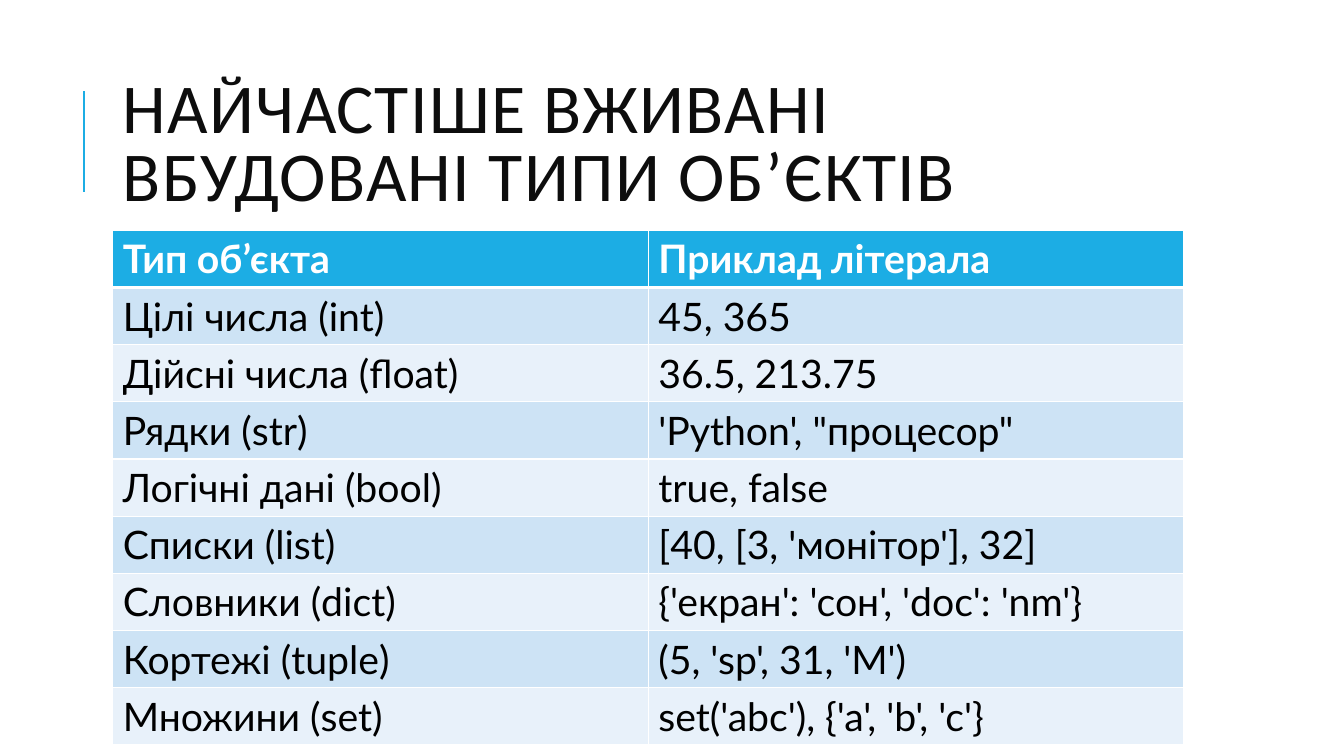
from dataclasses import dataclass

from lxml import etree
from pptx import Presentation
from pptx.dml.color import RGBColor
from pptx.enum.shapes import MSO_CONNECTOR
from pptx.enum.text import MSO_ANCHOR, PP_ALIGN
from pptx.oxml.ns import qn
from pptx.util import Cm, Pt

STRAIGHT = MSO_CONNECTOR.STRAIGHT
MIDDLE, TOP = MSO_ANCHOR.MIDDLE, MSO_ANCHOR.TOP
LEFT = PP_ALIGN.LEFT
TITLE_ONLY = 5


@dataclass(frozen=True)
class Theme:
    accent: str = "1CADE4"
    bands: tuple = ("CDE3F5", "E8F1FA")
    white: str = "FFFFFF"
    black: str = "000000"
    title_color: str = "0D0D0D"
    title_font: str = "Calibri"
    table_font: str = "Lato"
    title_size: int = 50
    table_size: int = 28


THEME = Theme()

TITLE = "НАЙЧАСТІШЕ ВЖИВАНІ ВБУДОВАНІ ТИПИ ОБ’ЄКТІВ"
TYPE_ROWS = [
    ("Тип об’єкта", "Приклад літерала"),
    ("Цілі числа (int)", "45, 365"),
    ("Дійсні числа (float)", "36.5, 213.75"),
    ("Рядки (str)", "'Python', \"процесор\""),
    ("Логічні дані (bool)", "true, false"),
    ("Списки (list)", "[40, [3, 'монітор'], 32]"),
    ("Словники (dict)", "{'екран': 'сон', 'doc': 'nm'}"),
    ("Кортежі (tuple)", "(5, 'sp', 31, 'M')"),
    ("Множини (set)", "set('abc'), {'a', 'b', 'c'}"),
]


def add_run(p, text, font, size, color, bold=False):
    r = p.add_run()
    r.text = text
    r.font.name, r.font.size, r.font.bold = font, Pt(size), bold
    r.font.color.rgb = RGBColor.from_string(color)
    return r


def set_borders(cell, color, bottom):
    """Outline a cell; the borders must precede its fill in the XML."""
    tc_pr = cell._tc.get_or_add_tcPr()
    widths = {"lnL": 1, "lnR": 1, "lnT": 1, "lnB": bottom}
    for i, (side, width) in enumerate(widths.items()):
        ln = etree.Element(qn(f"a:{side}"), w=str(Pt(width)))
        fill = etree.SubElement(ln, qn("a:solidFill"))
        etree.SubElement(fill, qn("a:srgbClr"), val=color)
        tc_pr.insert(i, ln)


def add_title(s, left, top, width, height):
    # Accent rule beside the heading
    x, rule_top = left - Cm(0.73), top + Cm(0.66)
    rule = s.shapes.add_connector(STRAIGHT, x, rule_top + Cm(2.54), x, rule_top)
    rule.line.color.rgb = RGBColor.from_string(THEME.accent)
    rule.line.width = Pt(1.5)
    etree.SubElement(rule._element.spPr, qn("a:effectLst"))

    # Heading
    sp = s.shapes.title
    sp.left, sp.top, sp.width, sp.height = left, top, width, height
    tf = sp.text_frame
    tf.word_wrap, tf.vertical_anchor = True, MIDDLE
    p = tf.paragraphs[0]
    p.alignment, p.line_spacing = LEFT, 0.8
    r = add_run(p, TITLE, THEME.title_font, THEME.title_size, THEME.title_color)
    r.font._element.set("spc", "100")


def add_types_table(s, left, top, width, height):
    n_rows, n_cols = len(TYPE_ROWS), len(TYPE_ROWS[0])
    table = s.shapes.add_table(n_rows, n_cols, left, top, width, height).table
    for i, texts in enumerate(TYPE_ROWS):
        header = i == 0
        fill = THEME.accent if header else THEME.bands[(i - 1) % 2]
        color = THEME.white if header else THEME.black
        for j, text in enumerate(texts):
            cell = table.cell(i, j)
            cell.vertical_anchor = TOP
            cell.fill.solid()
            cell.fill.fore_color.rgb = RGBColor.from_string(fill)
            set_borders(cell, THEME.white, bottom=3 if header else 1)
            add_run(cell.text_frame.paragraphs[0], text,
                    THEME.table_font, THEME.table_size, color, header)


prs = Presentation()
prs.slide_width, prs.slide_height = Cm(33.87), Cm(19.05)
s = prs.slides.add_slide(prs.slide_layouts[TITLE_ONLY])
add_title(s, Cm(2.84), Cm(1.63), Cm(27), Cm(4.16))
add_types_table(s, Cm(2.84), Cm(5.8), Cm(27), Cm(12.96))
prs.save("out.pptx")
